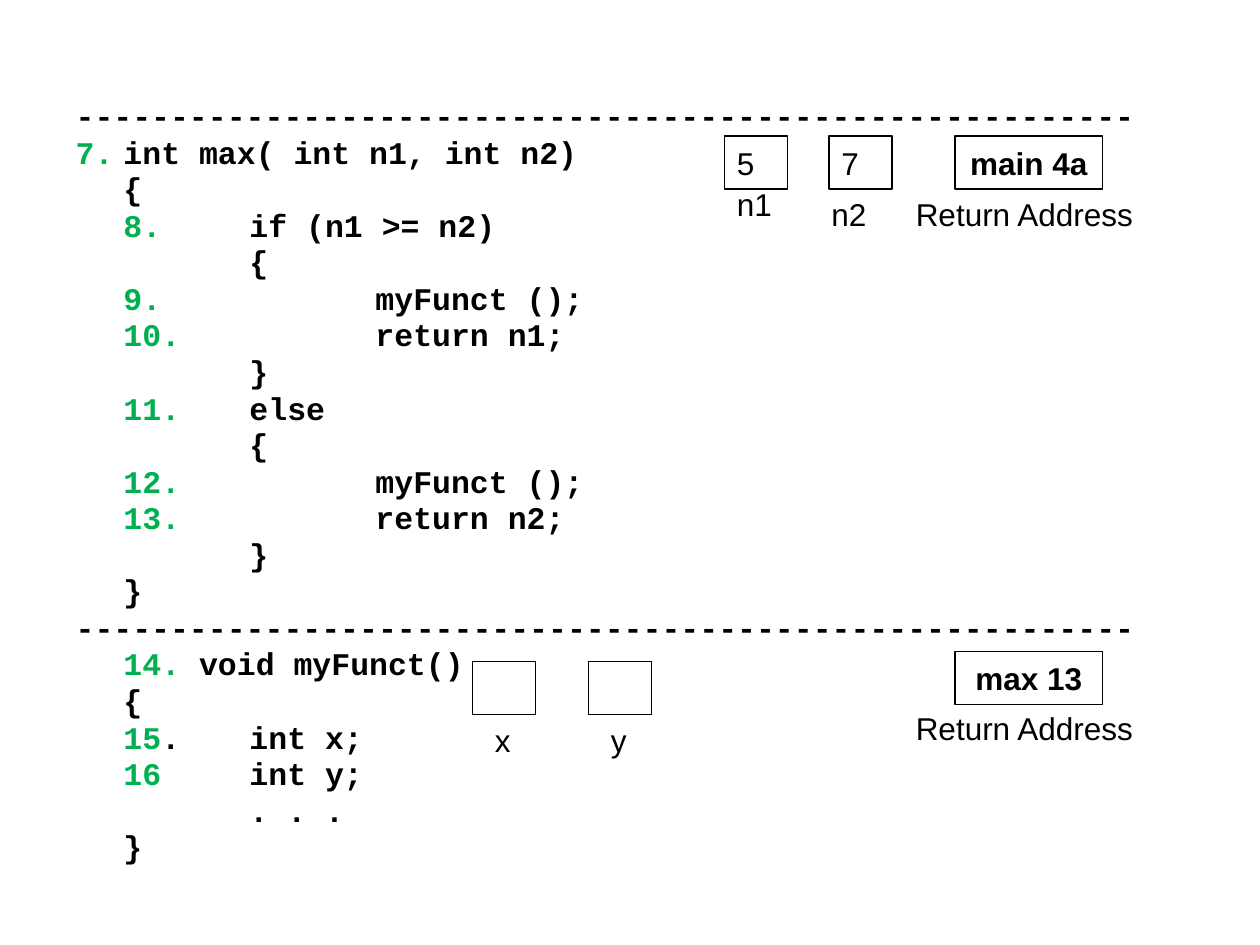
from dataclasses import dataclass

from lxml.etree import SubElement
from pptx import Presentation
from pptx.dml.color import RGBColor
from pptx.enum.shapes import MSO_SHAPE
from pptx.enum.text import MSO_ANCHOR, MSO_AUTO_SIZE, PP_ALIGN
from pptx.oxml.ns import qn
from pptx.util import Inches, Pt

BLACK = "000000"
GREEN = "00B050"
DIVIDER = "-" * 56


@dataclass
class CodeLine:
    code: str
    number: str = ""
    lead: str = "\t"


@dataclass
class Cell:
    left: float
    top: float
    value: str = ""
    width: float = 0.5
    bold: bool = False
    align: PP_ALIGN = PP_ALIGN.LEFT


@dataclass
class Label:
    left: float
    top: float
    width: float
    wording: str


CODE = [
    CodeLine(DIVIDER, lead=""),
    CodeLine("\tint max( int n1, int n2)", "7.", ""),
    CodeLine("{"),
    CodeLine("\tif (n1 >= n2)", "8."),
    CodeLine("\t{"),
    CodeLine("\t\tmyFunct ();", "9."),
    CodeLine("\t\treturn n1;", "10."),
    CodeLine("\t}"),
    CodeLine("\telse", "11."),
    CodeLine("\t{"),
    CodeLine("\t\tmyFunct ();", "12."),
    CodeLine("\t\treturn n2;", "13."),
    CodeLine("\t}"),
    CodeLine("}"),
    CodeLine(DIVIDER, lead=""),
    CodeLine(" void myFunct()", "14."),
    CodeLine("{"),
    CodeLine(".\tint x;", "15"),
    CodeLine("\tint y;", "16"),
    CodeLine("\t. . ."),
    CodeLine("}"),
]

CELLS = [
    Cell(3.75, 5.25),
    Cell(4.67, 5.25),
    Cell(5.75, 1.08, "5"),
    Cell(6.58, 1.08, "7"),
    Cell(7.58, 1.08, "main 4a", 1.17, True, PP_ALIGN.CENTER),
    Cell(7.58, 5.17, "max 13", 1.17, True, PP_ALIGN.CENTER),
]

LABELS = [
    Label(3.83, 5.67, 0.33, "x"),
    Label(4.75, 5.67, 0.33, "y"),
    Label(5.75, 1.42, 0.48, "n1"),
    Label(6.5, 1.5, 0.58, "n2"),
    Label(7.17, 1.5, 1.94, "Return Address"),
    Label(7.17, 5.58, 1.94, "Return Address"),
]


def rgb(value: str) -> RGBColor:
    return RGBColor.from_string(value)


def add_run(paragraph, wording: str, font: str = "Arial",
            color: str = BLACK, bold: bool = False) -> None:
    run = paragraph.add_run()
    run.text = wording
    run.font.name = font
    run.font.size = Pt(18)
    run.font.bold = bold
    run.font.color.rgb = rgb(color)


def add_code_line(paragraph, line: CodeLine) -> None:
    paragraph.line_spacing = 0.8
    paragraph.space_before = Pt(3.6)
    properties = paragraph._p.get_or_add_pPr()
    properties.set("marL", str(Inches(0.38)))
    properties.set("indent", str(-Inches(0.38)))
    properties.set("defTabSz", str(Inches(1)))
    SubElement(properties, qn("a:buNone"))
    pieces = [(line.lead, BLACK), (line.number, GREEN), (line.code, BLACK)]
    for wording, color in pieces:
        if wording:
            add_run(paragraph, wording, "Courier New", color, True)


def fill_listing(listing) -> None:
    listing.left, listing.top = Inches(0.5), Inches(0.77)
    listing.width, listing.height = Inches(9), Inches(6.32)
    frame = listing.text_frame
    frame.auto_size = MSO_AUTO_SIZE.NONE
    frame.vertical_anchor = MSO_ANCHOR.TOP
    for index, line in enumerate(CODE):
        add_code_line(frame.add_paragraph() if index else frame.paragraphs[0], line)


def add_cell(shapes, cell: Cell) -> None:
    box = shapes.add_shape(MSO_SHAPE.RECTANGLE, Inches(cell.left), Inches(cell.top),
                           Inches(cell.width), Inches(0.42))
    box.shadow.inherit = False
    box.fill.background()
    box.line.color.rgb = rgb(BLACK)
    box.line.width = Pt(0.75)
    if cell.value:
        paragraph = box.text_frame.paragraphs[0]
        paragraph.alignment = cell.align
        add_run(paragraph, cell.value, bold=cell.bold)


def add_label(shapes, label: Label) -> None:
    box = shapes.add_textbox(Inches(label.left), Inches(label.top),
                             Inches(label.width), Inches(0.4))
    box.text_frame.word_wrap = False
    add_run(box.text_frame.paragraphs[0], label.wording)


presentation = Presentation()
presentation.slide_width = Inches(10)
presentation.slide_height = Inches(7.5)
slide = presentation.slides.add_slide(presentation.slide_layouts[1])
empty_title = slide.shapes.title.element
empty_title.getparent().remove(empty_title)
fill_listing(slide.placeholders[1])
for memory_cell in CELLS:
    add_cell(slide.shapes, memory_cell)
for caption in LABELS:
    add_label(slide.shapes, caption)
presentation.save("out.pptx")
